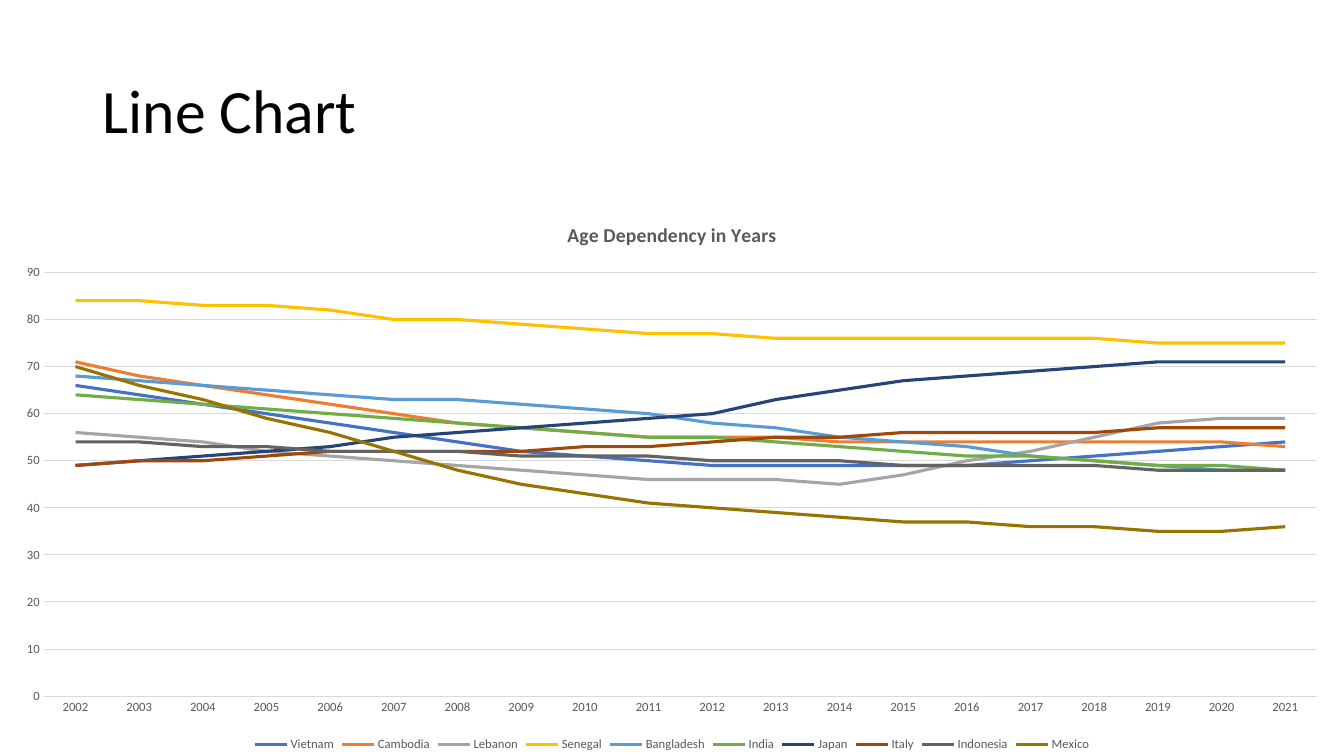
from pptx import Presentation
from pptx import util as u
from pptx.chart.data import CategoryChartData
from pptx.dml.color import RGBColor
from pptx.enum import chart as ch, text

FONT = "Calibri"
BLACK = RGBColor(0x00, 0x00, 0x00)
GREY = RGBColor(0x59, 0x59, 0x59)
RULE = RGBColor(0xD9, 0xD9, 0xD9)
BLUE = RGBColor(0x44, 0x72, 0xC4)
ORANGE = RGBColor(0xED, 0x7D, 0x31)
SILVER = RGBColor(0xA5, 0xA5, 0xA5)
GOLD = RGBColor(0xFF, 0xC0, 0x00)
SKY = RGBColor(0x5B, 0x9B, 0xD5)
GREEN = RGBColor(0x70, 0xAD, 0x47)
NAVY = RGBColor(0x26, 0x44, 0x78)
RUST = RGBColor(0x9E, 0x48, 0x0E)
SLATE = RGBColor(0x63, 0x63, 0x63)
OLIVE = RGBColor(0x99, 0x73, 0x00)

YEARS = [str(year) for year in range(2002, 2022)]
COUNTRIES = [
    ("Vietnam", BLUE, (66, 64, 62, 60, 58, 56, 54, 52, 51, 50,
                       49, 49, 49, 49, 49, 50, 51, 52, 53, 54)),
    ("Cambodia", ORANGE, (71, 68, 66, 64, 62, 60, 58, 57, 56, 55,
                          55, 55, 54, 54, 54, 54, 54, 54, 54, 53)),
    ("Lebanon", SILVER, (56, 55, 54, 52, 51, 50, 49, 48, 47, 46,
                         46, 46, 45, 47, 50, 52, 55, 58, 59, 59)),
    ("Senegal", GOLD, (84, 84, 83, 83, 82, 80, 80, 79, 78, 77,
                       77, 76, 76, 76, 76, 76, 76, 75, 75, 75)),
    ("Bangladesh", SKY, (68, 67, 66, 65, 64, 63, 63, 62, 61, 60,
                         58, 57, 55, 54, 53, 51, 50, 49, 48, 48)),
    ("India", GREEN, (64, 63, 62, 61, 60, 59, 58, 57, 56, 55,
                      55, 54, 53, 52, 51, 51, 50, 49, 49, 48)),
    ("Japan", NAVY, (49, 50, 51, 52, 53, 55, 56, 57, 58, 59,
                     60, 63, 65, 67, 68, 69, 70, 71, 71, 71)),
    ("Italy", RUST, (49, 50, 50, 51, 52, 52, 52, 52, 53, 53,
                     54, 55, 55, 56, 56, 56, 56, 57, 57, 57)),
    ("Indonesia", SLATE, (54, 54, 53, 53, 52, 52, 52, 51, 51, 51,
                          50, 50, 50, 49, 49, 49, 49, 48, 48, 48)),
    ("Mexico", OLIVE, (70, 66, 63, 59, 56, 52, 48, 45, 43, 41,
                       40, 39, 38, 37, 37, 36, 36, 35, 35, 36)),
]


def set_attrs(obj, **values):
    for name, value in values.items():
        setattr(obj, name, value)


def set_font(font, size, color, bold=False):
    set_attrs(font, name=FONT, size=u.Pt(size), bold=bold)
    font.color.rgb = color


def set_line(line, color, width):
    line.color.rgb = color
    line.width = u.Pt(width)


def add_title(s, box, words):
    sp = s.shapes.title
    set_attrs(sp, **dict(zip(("left", "top", "width", "height"), box)))
    tf = sp.text_frame
    set_attrs(tf, text=words, word_wrap=True,
              vertical_anchor=text.MSO_ANCHOR.MIDDLE)
    p = tf.paragraphs[0]
    set_attrs(p, alignment=text.PP_ALIGN.LEFT, line_spacing=0.9)
    set_font(p.runs[0].font, 44, BLACK)


def format_axes(chart):
    for axis in (chart.category_axis, chart.value_axis):
        set_attrs(axis, major_tick_mark=ch.XL_TICK_MARK.NONE,
                  minor_tick_mark=ch.XL_TICK_MARK.NONE)
        set_font(axis.tick_labels.font, 9, GREY)
    set_line(chart.category_axis.format.line, RULE, 0.75)
    values = chart.value_axis
    set_attrs(values, minimum_scale=0, maximum_scale=90, major_unit=10,
              has_major_gridlines=True)
    values.format.line.fill.background()
    set_line(values.major_gridlines.format.line, RULE, 0.75)


def add_line_chart(s, box, heading):
    data = CategoryChartData(number_format="0")
    data.categories = YEARS
    for name, _, ratios in COUNTRIES:
        data.add_series(name, ratios)
    chart = s.shapes.add_chart(ch.XL_CHART_TYPE.LINE, *box, data).chart
    set_font(chart.font, 10, BLACK)

    chart.has_title = True
    tf = chart.chart_title.text_frame
    tf.text = heading
    set_font(tf.paragraphs[0].runs[0].font, 14, GREY, bold=True)
    chart.chart_title.include_in_layout = False

    chart.has_legend = True
    set_attrs(chart.legend, position=ch.XL_LEGEND_POSITION.BOTTOM,
              include_in_layout=False)
    set_font(chart.legend.font, 9, GREY)

    format_axes(chart)
    chart.plots[0].vary_by_categories = False
    for series, (_, color, _) in zip(chart.plots[0].series, COUNTRIES):
        series.smooth = False
        series.marker.style = ch.XL_MARKER_STYLE.NONE
        set_line(series.format.line, color, 2.25)


def main():
    prs = Presentation()
    set_attrs(prs, slide_width=u.Inches(13.33), slide_height=u.Inches(7.5))
    w, h = prs.slide_width, prs.slide_height
    s = prs.slides.add_slide(prs.slide_layouts[5])
    margin, chart_top = u.Inches(0.92), u.Inches(2)
    add_title(s, (margin, u.Inches(0.4), w - 2 * margin, u.Inches(1.45)),
              "Line Chart")
    add_line_chart(s, (0, chart_top, w, h - chart_top),
                   "Age Dependency in Years")
    prs.save("out.pptx")


if __name__ == "__main__":
    main()
